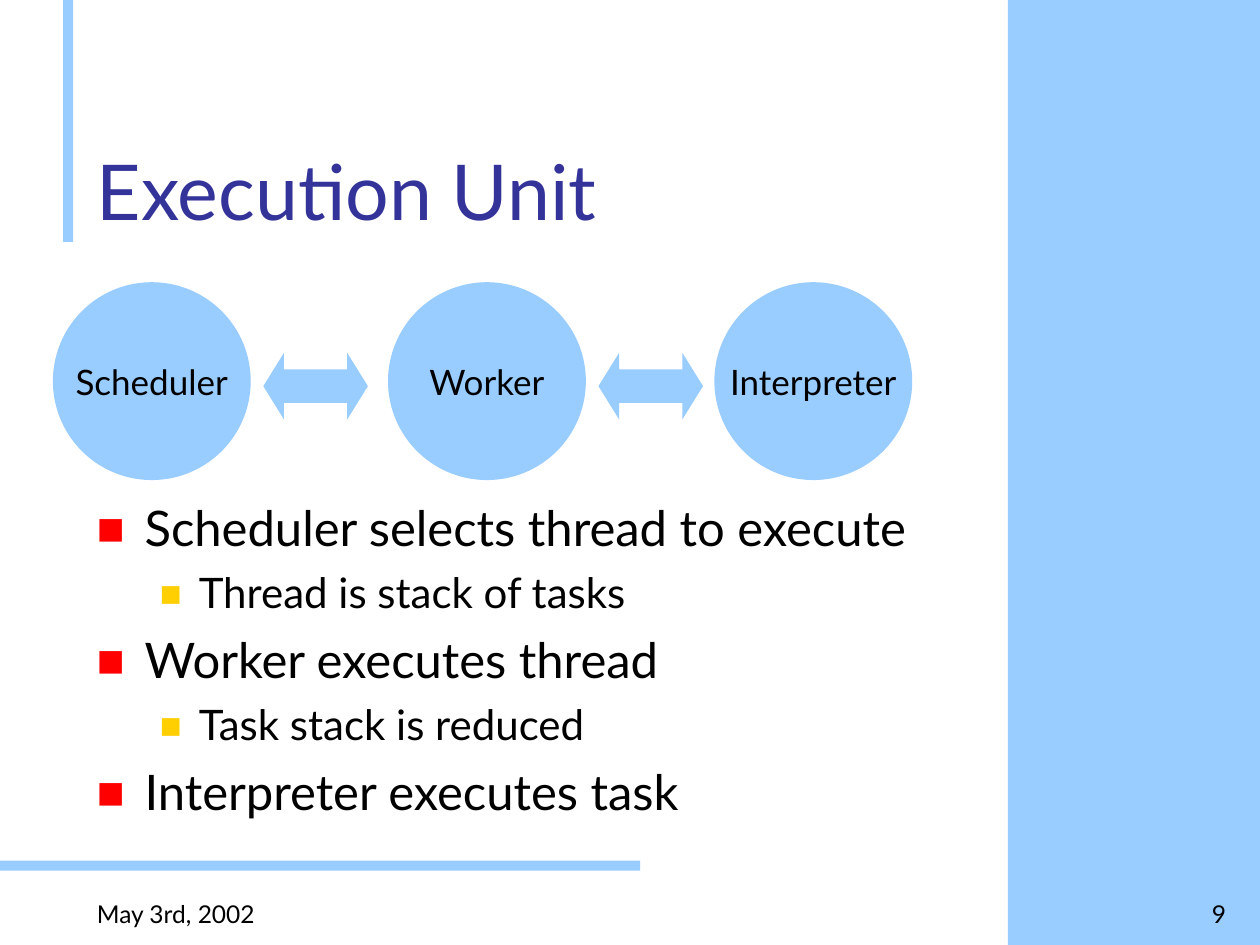
from lxml import etree
from pptx import Presentation
from pptx import util as u
from pptx.dml.color import RGBColor
from pptx.enum import shapes, text
from pptx.oxml.ns import qn

SKY, NAVY, BLACK, RED, GOLD = "99CCFF", "333399", "000000", "FF0000", "FFCF01"
LEVELS = [
    {"size": 28, "margin": 0.38, "hang": 0.38, "before": 7, "bullet": RED, "scale": 60},
    {"size": 24, "margin": 0.81, "hang": 0.31, "before": 6, "bullet": GOLD, "scale": 55},
]
POINTS = [
    (0, "Scheduler selects thread to execute"),
    (1, "Thread is stack of tasks"),
    (0, "Worker executes thread"),
    (1, "Task stack is reduced"),
    (0, "Interpreter executes task"),
]
STAGES = [(0, "Scheduler"), (2.66, "Worker"), (5.25, "Interpreter")]


def color(value):
    """Turn a hex string into a colour."""
    return RGBColor.from_string(value)


def inches(box):
    """Convert left, top, width and height to lengths."""
    return [u.Inches(value) for value in box]


def write(paragraph, words, size, ink=BLACK, align=text.PP_ALIGN.LEFT):
    """Fill a paragraph with one formatted run."""
    paragraph.alignment = align
    run = paragraph.add_run()
    run.text = words
    run.font.color.rgb = color(ink)
    for name, value in {"name": "Lato", "size": u.Pt(size)}.items():
        setattr(run.font, name, value)


def add_block(slide, kind, box):
    """Add a flat sky-blue shape without outline."""
    block = slide.shapes.add_shape(kind, *inches(box))
    block.shadow.inherit = False
    block.fill.solid()
    block.fill.fore_color.rgb = color(SKY)
    block.line.fill.background()
    return block


def add_frame(slide, box, anchor):
    """Add a wrapping text box and return its text frame."""
    frame = slide.shapes.add_textbox(*inches(box)).text_frame
    for name, value in {"word_wrap": True, "vertical_anchor": anchor}.items():
        setattr(frame, name, value)
    return frame


def add_line(slide, box, words, size, **style):
    """Add one line of text resting on the bottom of its box."""
    frame = add_frame(slide, box, text.MSO_ANCHOR.BOTTOM)
    write(frame.paragraphs[0], words, size, **style)


def add_bullet(paragraph, level):
    """Give a paragraph the hanging square bullet of its level."""
    props = paragraph._p.get_or_add_pPr()
    props.set("marL", str(u.Inches(level["margin"])))
    props.set("indent", str(-u.Inches(level["hang"])))
    tint = etree.SubElement(props, qn("a:buClr"))
    etree.SubElement(tint, qn("a:srgbClr"), val=level["bullet"])
    etree.SubElement(props, qn("a:buSzPct"), val=str(level["scale"] * 1000))
    etree.SubElement(props, qn("a:buFont"), typeface="Lato")
    etree.SubElement(props, qn("a:buChar"), char="■")


def add_backdrop(slide, box):
    """Place the side panel and the two accent bars."""
    left, top, width, height = box
    bars = [
        (left + width - 2, top, 2, height),
        (left + 0.5, top, 0.08, 1.92),
        (left, top + 6.83, 5.08, 0.08),
    ]
    for bar in bars:
        add_block(slide, shapes.MSO_SHAPE.RECTANGLE, bar)


def add_pipeline(slide, box):
    """Place the stage circles with a double arrow after all but the last."""
    left, top, _, diameter = box
    for offset, stage in STAGES:
        circle = add_block(slide, shapes.MSO_SHAPE.OVAL,
                           (left + offset, top, diameter, diameter))
        frame = circle.text_frame
        frame.word_wrap = False
        frame.vertical_anchor = text.MSO_ANCHOR.MIDDLE
        write(frame.paragraphs[0], stage, 20, align=text.PP_ALIGN.CENTER)
    for offset, _ in STAGES[:-1]:
        arrow = add_block(slide, shapes.MSO_SHAPE.LEFT_RIGHT_ARROW,
                          (left + offset + diameter + 0.1, top + 0.56, 0.83, 0.53))
        arrow.adjustments[0], arrow.adjustments[1] = 0.5, 0.31


def add_points(slide, box):
    """Place the two-level bullet list."""
    frame = add_frame(slide, box, text.MSO_ANCHOR.TOP)
    for index, (depth, words) in enumerate(POINTS):
        paragraph = frame.add_paragraph() if index else frame.paragraphs[0]
        level = LEVELS[depth]
        paragraph.level = depth
        paragraph.space_before = u.Pt(level["before"])
        write(paragraph, words, level["size"])
        add_bullet(paragraph, level)


def add_footer(slide, box):
    """Place the date at the left and the page number at the right."""
    left, top, width, height = box
    add_line(slide, (left + width - 1.75, top, 1.75, height), "9", 14,
             align=text.PP_ALIGN.RIGHT)
    add_line(slide, (left, top, 7.25, height), "May 3rd, 2002", 14)


def main():
    """Build and save the slide."""
    deck = Presentation()
    deck.slide_width, deck.slide_height = u.Inches(10), u.Inches(7.5)
    slide = deck.slides.add_slide(deck.slide_layouts[6])
    add_backdrop(slide, (0, 0, 10, 7.5))
    add_line(slide, (0.67, 0.67, 7.33, 1.25), "Execution Unit", 44, ink=NAVY)
    add_points(slide, (0.67, 3.9, 9.17, 2.81))
    add_pipeline(slide, (0.42, 2.24, 6.82, 1.57))
    add_footer(slide, (0.67, 6.92, 9.16, 0.5))
    deck.save("out.pptx")


if __name__ == "__main__":
    main()
